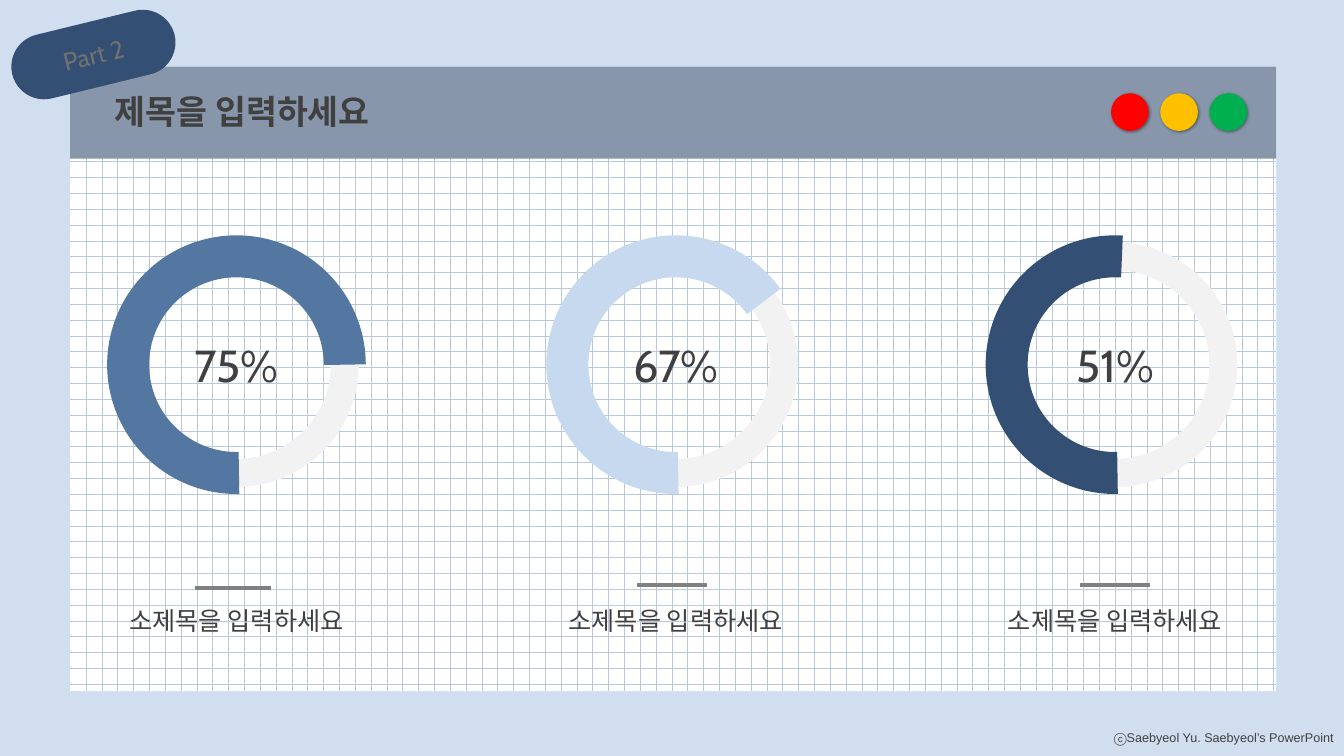
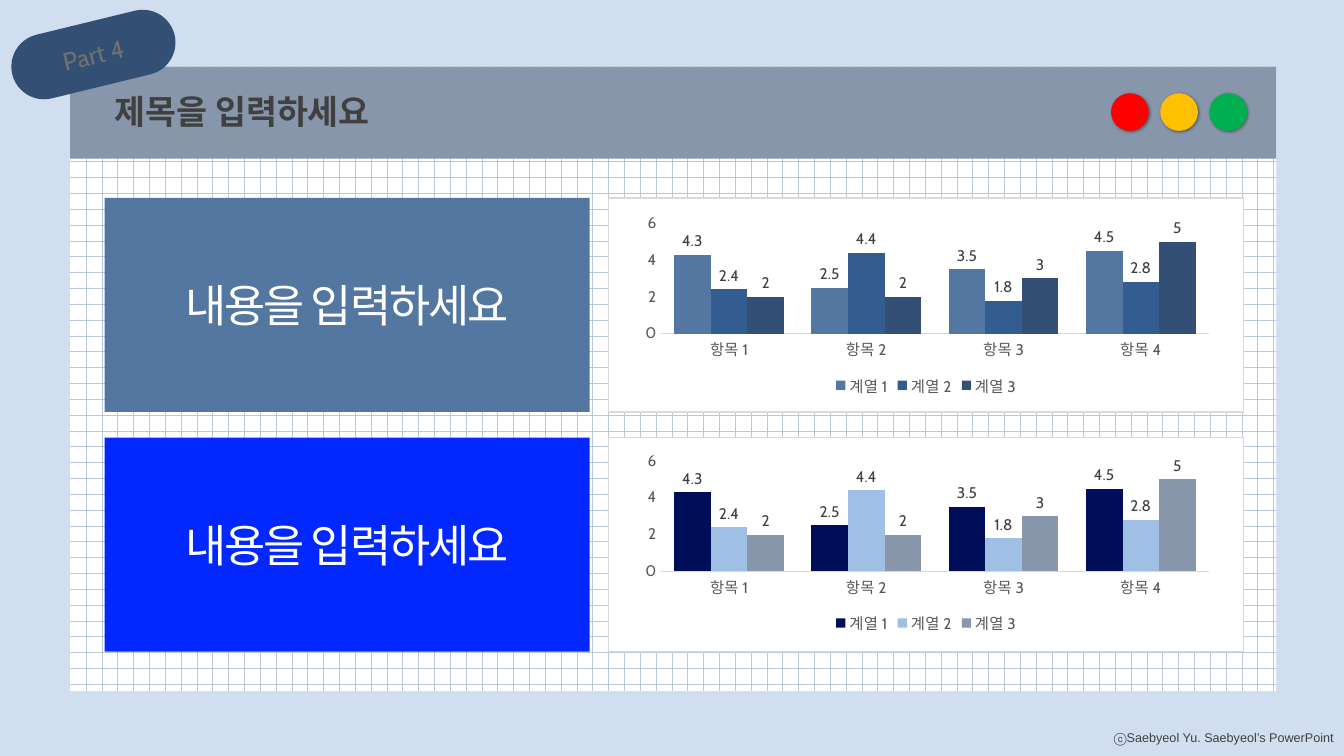
from lxml import etree
from pptx import Presentation
from pptx import util as u
from pptx.chart.data import CategoryChartData
from pptx.dml.color import RGBColor
from pptx.enum import chart as charts, dml, shapes, text
from pptx.oxml.ns import qn

FONT = "Cabin"
SKY, STEEL, NAVY, SLATE = "D1DEEF", "5377A1", "334F73", "8796AA"
INK, GREY, RULE, WHITE = "404040", "595959", "808080", "FFFFFF"
TRACK, EDGE, GRID, TAG_INK = "F2F2F2", "D9D9D9", "B9C8DB", "707070"
LIGHTS = ["FF0000", "FFC000", "00B050"]
ALIGN = text.PP_ALIGN
SHAPE = shapes.MSO_SHAPE

TITLE = "제목을 입력하세요"
CAPTION = "소제목을 입력하세요"
MESSAGE = "내용을 입력하세요"
FOOTER = "ⓒSaebyeol Yu. Saebyeol’s PowerPoint"


def color(value):
    return RGBColor.from_string(value)


def cm(*lengths):
    return [u.Cm(length) for length in lengths]


def add_element(parent, tag, **attributes):
    return etree.SubElement(parent, qn(tag), attributes)


def set_font(font, size, tint, name=FONT, bold=None):
    font.size, font.name, font.bold = u.Pt(size), name, bold
    font.color.rgb = color(tint)


def write(shape, words, size, tint, align=ALIGN.CENTER, wrap=False,
          name=FONT, bold=None, spacing=None):
    frame = shape.text_frame
    frame.word_wrap = wrap
    frame.vertical_anchor = text.MSO_ANCHOR.MIDDLE
    para = frame.paragraphs[0]
    para.alignment = align
    span = para.add_run()
    span.text = words
    set_font(span.font, size, tint, name, bold)
    if spacing:
        span.font._rPr.set("spc", str(spacing))


def add_text(page, box, words, size, tint, **style):
    label = page.shapes.add_textbox(*cm(*box))
    write(label, words, size, tint, **style)


def add_shape(page, kind, box, fill=None, line=None, width=1):
    shape = page.shapes.add_shape(kind, *cm(*box))
    shape.shadow.inherit = False
    if fill:
        shape.fill.solid()
        shape.fill.fore_color.rgb = color(fill)
    else:
        shape.fill.background()
    if line:
        shape.line.color.rgb = color(line)
        shape.line.width = u.Pt(width)
    else:
        shape.line.fill.background()
    return shape


def add_soft_shadow(shape):
    effects = shape._element.spPr.find(qn("a:effectLst"))
    shadow = add_element(effects, "a:outerShdw", blurRad="25400", dist="12700",
                         dir="2700000", algn="tl", rotWithShape="0")
    tint = add_element(shadow, "a:srgbClr", val="000000")
    add_element(tint, "a:alpha", val="40000")


def add_window(deck, part):
    """Add a page with its gridded window, title bar, part tag and footer."""
    page = deck.slides.add_slide(deck.slide_layouts[5])
    left, top, width, height = 1.77, 1.68, 30.39, 15.74

    # Gridded panel and title bar
    panel = add_shape(page, SHAPE.RECTANGLE, (left, top, width, height), WHITE)
    panel.fill.patterned()
    panel.fill.pattern = dml.MSO_PATTERN.DOTTED_GRID
    panel.fill.fore_color.rgb = color(GRID)
    panel.fill.back_color.rgb = color(WHITE)
    add_shape(page, SHAPE.RECTANGLE, (left, top, width, 2.32), SLATE)

    # Window buttons
    for index, tint in enumerate(LIGHTS):
        button = (left + 26.23 + 1.24 * index, top + 0.67, 0.95, 0.95)
        add_soft_shadow(add_shape(page, SHAPE.OVAL, button, tint))

    # Title, brought in front of its bar
    title = page.shapes.title
    title.left, title.top, title.width, title.height = cm(
        left + 0.87, top + 0.51, 7.34, 1.24)
    write(title, TITLE, 24, INK, align=ALIGN.LEFT, bold=True)
    page.shapes._spTree.append(title._element)

    # Tilted part tag
    tag = add_shape(page, SHAPE.ROUNDED_RECTANGLE, (0.25, 0.55, 4.21, 1.65), NAVY)
    tag.adjustments[0] = 0.5
    tag.rotation = 346.3
    write(tag, part, 18, TAG_INK)

    add_text(page, (27.76, 18.26, 6.1, 0.64), FOOTER, 9, INK,
             align=ALIGN.RIGHT, name="Arial")
    return page


def add_arc(page, box, start, end, tint, width):
    arc = add_shape(page, SHAPE.ARC, box, line=tint, width=width)
    # One unit of adjustment is 100000 sixty-thousandths of a degree
    for index, angle in enumerate((start, end)):
        arc.adjustments[index] = angle % 360 * 0.6


def add_ring(page, left, top, percent, end, tint, rule):
    """Draw a progress ring, its value, a short rule and a caption."""
    size = 5.46
    middle = left + size / 2
    ring = (left, top, size, size)
    add_arc(page, ring, end - 3, 89.1, TRACK, 20)
    add_arc(page, ring, 88.67, end, tint, 30)
    add_text(page, (middle - 1.4, top + 1.92, 2.8, 1.6), percent, 32, INK)

    rule_left, rule_top, rule_width = rule
    start, height = left + rule_left, top + rule_top
    line = page.shapes.add_connector(
        shapes.MSO_CONNECTOR.STRAIGHT,
        *cm(start, height, start + rule_width, height))
    line.line.color.rgb = color(RULE)
    line.line.width = u.Pt(3)
    add_element(line._element.spPr, "a:effectLst")

    add_text(page, (middle - 3.14, top + 8.68, 6.28, 0.99), CAPTION, 18, INK)


def place_plot(chart, x, y, w, h):
    """Fix the inner plot area as fractions of the chart."""
    area = chart._chartSpace.chart.plotArea
    for old in area.findall(qn("c:layout")):
        area.remove(old)
    layout = etree.Element(qn("c:layout"))
    area.insert(0, layout)
    manual = add_element(layout, "c:manualLayout")
    add_element(manual, "c:layoutTarget", val="inner")
    for tag in ("c:xMode", "c:yMode"):
        add_element(manual, tag, val="edge")
    for tag, value in zip(("c:x", "c:y", "c:w", "c:h"), (x, y, w, h)):
        add_element(manual, tag, val=str(value))


def add_columns(page, box, tints):
    data = CategoryChartData()
    data.categories = [f"항목 {number}" for number in range(1, 5)]
    values = [(4.3, 2.5, 3.5, 4.5), (2.4, 4.4, 1.8, 2.8), (2, 2, 3, 5)]
    for number, row in enumerate(values, 1):
        data.add_series(f"계열 {number}", row)
    chart = page.shapes.add_chart(
        charts.XL_CHART_TYPE.COLUMN_CLUSTERED, *cm(*box), data).chart
    chart.has_title = False
    set_font(chart.font, 10, "000000")
    place_plot(chart, 0.05, 0.07, 0.93, 0.58)

    # Legend
    chart.has_legend = True
    chart.legend.position = charts.XL_LEGEND_POSITION.BOTTOM
    chart.legend.include_in_layout = False
    set_font(chart.legend.font, 11, GREY)

    # Axes
    for axis in (chart.category_axis, chart.value_axis):
        axis.has_major_gridlines = False
        axis.major_tick_mark = axis.minor_tick_mark = charts.XL_TICK_MARK.NONE
        set_font(axis.tick_labels.font, 11, GREY)
    chart.category_axis.format.line.color.rgb = color(EDGE)
    chart.category_axis.format.line.width = u.Pt(0.75)
    scale = chart.value_axis
    scale.format.line.fill.background()
    scale.minimum_scale, scale.maximum_scale, scale.major_unit = 0, 6, 2

    # Columns and their values
    plot = chart.plots[0]
    plot.gap_width, plot.overlap, plot.vary_by_categories = 75, 0, False
    for series, tint in zip(plot.series, tints):
        series.format.fill.solid()
        series.format.fill.fore_color.rgb = color(tint)
        labels = series.data_labels
        labels.show_value = True
        labels.position = charts.XL_LABEL_POSITION.OUTSIDE_END
        set_font(labels.font, 11, INK)


def add_chart_row(page, left, top, fill, tints, chart_drop):
    """Place a message block beside a framed column chart."""
    height = 5.39
    frame_left = left + 12.7
    add_shape(page, SHAPE.RECTANGLE, (frame_left, top, 16, height), WHITE, EDGE)
    add_columns(page, (frame_left + 0.56, top + chart_drop, 14.88, 4.8), tints)
    block = add_shape(page, SHAPE.RECTANGLE, (left, top, 12.22, height), fill)
    write(block, MESSAGE, 32, WHITE, spacing=-150)


def build_rings(deck):
    page = add_window(deck, "Part 2")
    rings = [
        ("75%", 360, STEEL, (1.69, 8.36, 1.9)),
        ("67%", 324.34, "C6D9EF", (1.75, 8.29, 1.76)),
        ("51%", 273.68, NAVY, (1.85, 8.29, 1.76)),
    ]
    for index, ring in enumerate(rings):
        add_ring(page, 3.23 + 11.07 * index, 6.46, *ring)


def build_charts(deck):
    page = add_window(deck, "Part 4")
    rows = [
        (STEEL, (STEEL, "335C91", NAVY), 0.3),
        ("0227FF", ("000D59", "A0BFE5", SLATE), 0.25),
    ]
    for index, row in enumerate(rows):
        add_chart_row(page, 2.64, 4.99 + 6.04 * index, *row)


def main():
    deck = Presentation()
    deck.slide_width, deck.slide_height = cm(33.87, 19.05)
    backdrop = deck.slide_master.background.fill
    backdrop.solid()
    backdrop.fore_color.rgb = color(SKY)
    build_rings(deck)
    build_charts(deck)
    deck.save("out.pptx")


if __name__ == "__main__":
    main()
